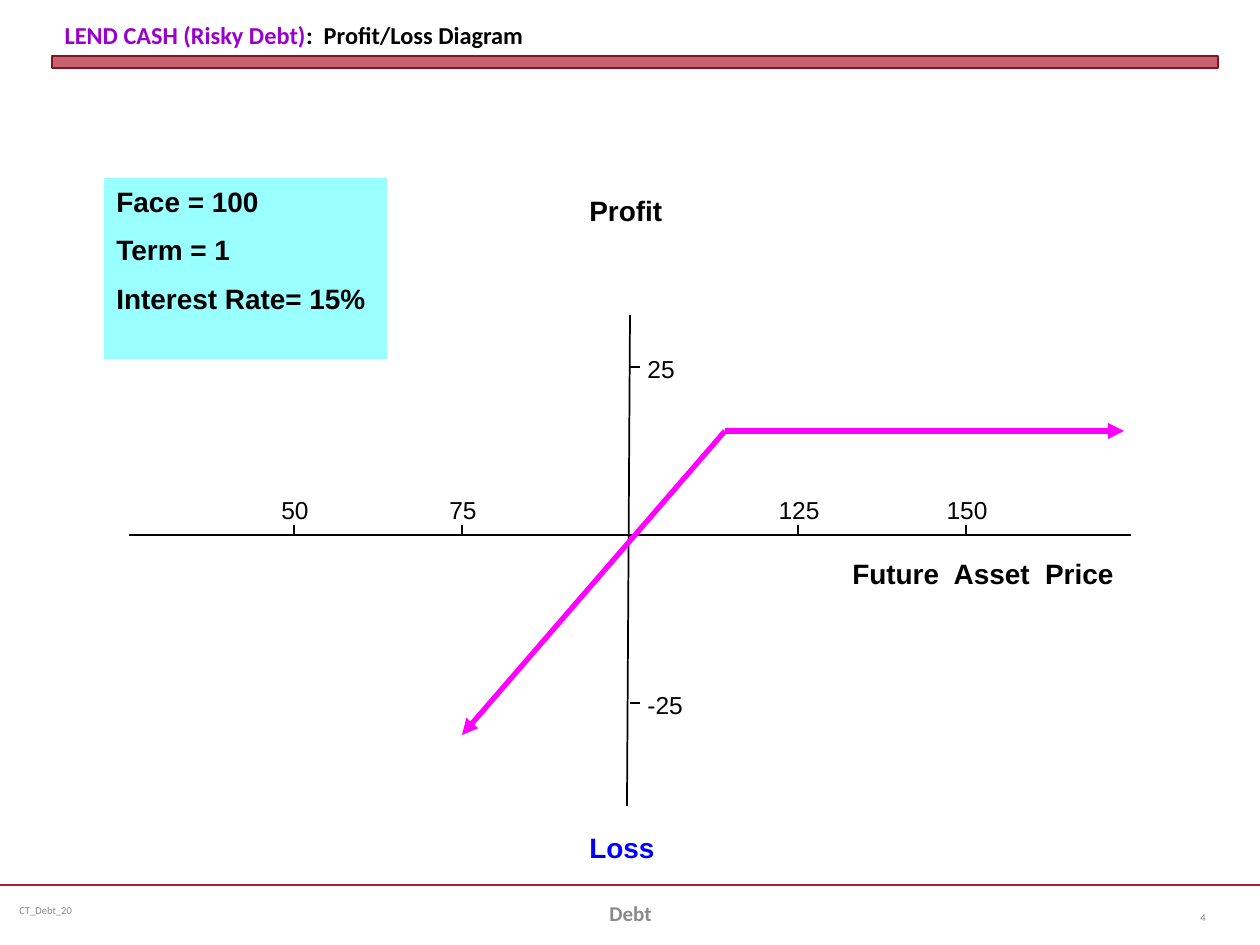
from lxml import etree
from pptx import Presentation
from pptx import util as u
from pptx.dml.color import RGBColor
from pptx.enum import shapes, text
from pptx.oxml.ns import qn

PX = u.Inches(1) / 126
COLORS = {
    "black": "000000", "purple": "9900CC", "crimson": "B01C2E", "maroon": "821522",
    "cyan": "99FFFF", "blue": "0000FF", "magenta": "FF00FF",
    "footer": "898989", "number": "808080",
}
LEFT, CENTER, RIGHT = text.PP_ALIGN.LEFT, text.PP_ALIGN.CENTER, text.PP_ALIGN.RIGHT


def rgb(name):
    return RGBColor.from_string(COLORS[name])


def px(*lengths):
    return [round(length * PX) for length in lengths]


prs = Presentation()
prs.slide_width, prs.slide_height = u.Inches(10), u.Inches(7.5)
slide = prs.slides.add_slide(prs.slide_layouts[5])

# Title and the bar below it
title = slide.shapes.title
title.left, title.top, title.width, title.height = px(52, 6, 1166, 50)
heading = title.text_frame
heading.auto_size = text.MSO_AUTO_SIZE.NONE
heading.vertical_anchor = text.MSO_ANCHOR.BOTTOM
line = heading.paragraphs[0]
line.alignment = LEFT
line.font.name, line.font.size, line.font.bold = "Calibri", u.Pt(24), True
for words, color in (("LEND CASH (Risky Debt)", "purple"), (":  Profit/Loss Diagram", "black")):
    run = line.add_run()
    run.text = words
    run.font.color.rgb = rgb(color)
    run._r.get_or_add_rPr().set("baseline", "-25000")

bar = slide.shapes.add_shape(shapes.MSO_SHAPE.RECTANGLE, *px(52, 56, 1166, 12))
bar.shadow.inherit = False
bar.fill.solid()
bar.fill.fore_color.rgb = rgb("crimson")
bar_color = bar.fill._xPr.find(qn("a:solidFill"))[0]
etree.SubElement(bar_color, qn("a:alpha")).set("val", "69000")
bar.line.color.rgb = rgb("maroon")
bar.line.width = u.Pt(0)

# Loan terms
terms = slide.shapes.add_shape(shapes.MSO_SHAPE.RECTANGLE, *px(104, 178, 283, 181))
terms.shadow.inherit = False
terms.fill.solid()
terms.fill.fore_color.rgb = rgb("cyan")
terms.line.fill.background()
terms.text_frame.vertical_anchor = text.MSO_ANCHOR.TOP
terms.text_frame.text = "Face = 100\nTerm = 1\nInterest Rate= 15%"
for i, term in enumerate(terms.text_frame.paragraphs):
    term.alignment = LEFT
    term.space_before = u.Pt(8.7 if i else 0)
    term.font.name, term.font.size, term.font.bold = "Arial", u.Pt(16), True
    term.font.color.rgb = rgb("black")

# Axes: 168 px for each 25 of price or profit, crossing at price 100, profit 0
ORIGIN_X, ORIGIN_Y, STEP, TICK = 630, 535, 168, 10
labels = []
lines = [
    (0, 885, 1260, 885, "crimson", 1.25, False),
    (129, ORIGIN_Y, 1131, ORIGIN_Y, "black", 1, False),
    (627, 806, ORIGIN_X, 315, "black", 1, False),
]
for price in (50, 75, 125, 150):
    x = ORIGIN_X + (price - 100) * STEP // 25
    lines.append((x, ORIGIN_Y, x, ORIGIN_Y - TICK, "black", 1, False))
    labels.append((str(price), x - 46, 489, 94, 42, "Arial", 14, False, "black", CENTER))
for profit in (25, -25):
    y = ORIGIN_Y - profit * STEP // 25
    lines.append((ORIGIN_X, y, ORIGIN_X + TICK, y, "black", 1, False))
    labels.append((str(profit), 635, y - 19, 84, 42, "Arial", 14, False, "black", LEFT))

# Payoff, with its kink where the debt is repaid in full
KINK = (725, 431)
lines += [
    (*KINK, 462, 735, "magenta", 3, True),
    (*KINK, 1124, 431, "magenta", 3, True),
]
for x1, y1, x2, y2, color, width, arrow in lines:
    stroke = slide.shapes.add_connector(shapes.MSO_CONNECTOR.STRAIGHT, *px(x1, y1, x2, y2))
    stroke.line.color.rgb = rgb(color)
    stroke.line.width = u.Pt(width)
    if arrow:
        etree.SubElement(stroke.line._get_or_add_ln(), qn("a:tailEnd")).set("type", "triangle")
    etree.SubElement(stroke._element.spPr, qn("a:effectLst"))

# Axis names and footer
labels += [
    ("Profit", 577, 187, 103, 47, "Arial", 16, True, "black", LEFT),
    ("Loss", 577, 824, 92, 47, "Arial", 16, True, "blue", LEFT),
    ("Future  Asset  Price", 840, 550, 325, 47, "Arial", 16, True, "black", LEFT),
    ("CT_Debt_20", 7, 885, 325, 50, "Calibri", 6, False, "footer", LEFT),
    ("Debt", 431, 888, 399, 50, "Calibri", 12, True, "footer", CENTER),
    ("4", 1155, 892, 63, 50, "Calibri", 6, False, "number", RIGHT),
]
for words, x, y, w, h, font, size, bold, color, align in labels:
    label = slide.shapes.add_textbox(*px(x, y, w, h)).text_frame
    label.word_wrap = True
    if font == "Calibri":
        label.vertical_anchor = text.MSO_ANCHOR.MIDDLE
    label.text = words
    line = label.paragraphs[0]
    line.alignment = align
    line.font.name, line.font.size, line.font.bold = font, u.Pt(size), bold
    line.font.color.rgb = rgb(color)

prs.save("out.pptx")
